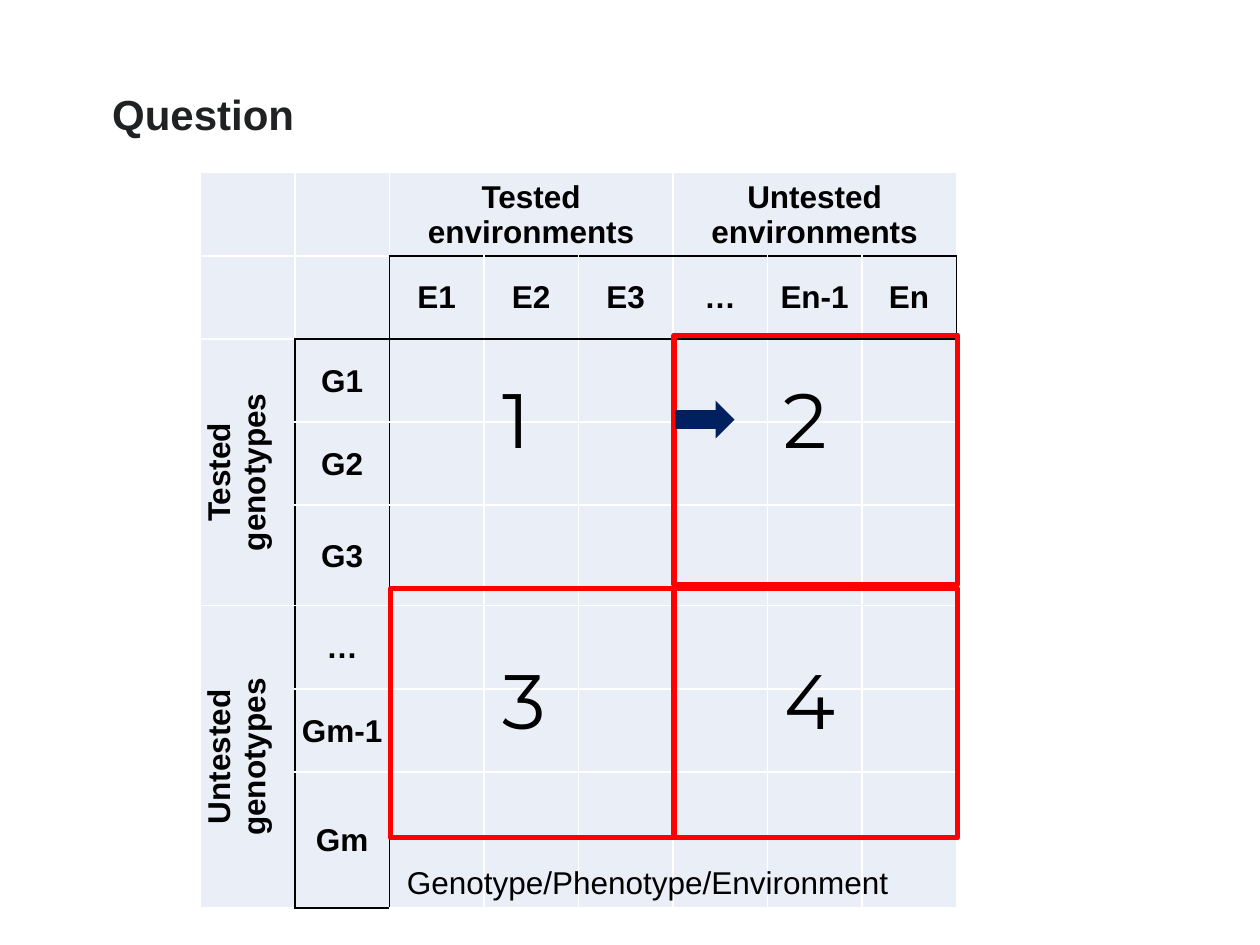
from lxml.etree import SubElement
from pptx import Presentation
from pptx.dml.color import RGBColor
from pptx.enum.shapes import MSO_SHAPE
from pptx.enum.text import MSO_ANCHOR, MSO_AUTO_SIZE, PP_ALIGN
from pptx.oxml.ns import qn
from pptx.util import Inches, Pt

BLACK = RGBColor(0x00, 0x00, 0x00)
WHITE = RGBColor(0xFF, 0xFF, 0xFF)
PALE_BLUE = RGBColor(0xEA, 0xEF, 0xF7)
NAVY = RGBColor(0x00, 0x20, 0x60)
RED = RGBColor(0xFF, 0x00, 0x00)
CHARCOAL = RGBColor(0x20, 0x21, 0x22)

TITLE = "Question"
CAPTION = "Genotype/Phenotype/Environment"
ENVIRONMENTS = ["E1", "E2", "E3", "…", "En-1", "En"]
GENOTYPES = ["G1", "G2", "G3", "…", "Gm-1", "Gm"]
ENVIRONMENT_GROUPS = ["Tested environments", "Untested environments"]
GENOTYPE_GROUPS = ["Tested genotypes", "Untested genotypes"]
GROUP_SIZE = 3
LABEL_START = 2
GRID_SIZE = LABEL_START + len(ENVIRONMENTS)

TABLE_BOX = (1.59, 1.37, 6, 5.28)
QUADRANT_SIZE = (2.25, 1.98)
QUADRANTS = [(3.1, 4.67), (5.35, 4.67), (5.35, 2.66)]
NUMBERS = [("1", 3.89, 2.9), ("2", 6.12, 2.9), ("3", 3.89, 5.13), ("4", 6.13, 5.13)]
SIDES = [("a:lnL", 0, -1), ("a:lnR", 0, 1), ("a:lnT", -1, 0), ("a:lnB", 1, 0)]


def is_label(row, column):
    inside = max(row, column) < GRID_SIZE
    return inside and min(row, column) == 1 and max(row, column) >= LABEL_START


def format_cell(cell, row, column):
    properties = cell._tc.get_or_add_tcPr()
    for tag, row_step, column_step in SIDES:
        outlined = is_label(row, column) != is_label(row + row_step, column + column_step)
        border = SubElement(properties, qn(tag), w=str(Pt(1)))
        fill = SubElement(border, qn("a:solidFill"))
        SubElement(fill, qn("a:srgbClr"), val=str(BLACK if outlined else WHITE))
    cell.fill.solid()
    cell.fill.fore_color.rgb = PALE_BLUE


def format_text(paragraph, size, font="Arial", color=BLACK, bold=False, align=PP_ALIGN.LEFT):
    paragraph.alignment = align
    paragraph.font.size = Pt(size)
    paragraph.font.name = font
    paragraph.font.color.rgb = color
    paragraph.font.bold = bold


def write_cell(cell, text):
    cell.text = text
    cell.vertical_anchor = MSO_ANCHOR.MIDDLE
    cell.margin_left = cell.margin_top = cell.margin_right = Inches(0.01)
    cell.margin_bottom = 0
    format_text(cell.text_frame.paragraphs[0], 18, bold=True, align=PP_ALIGN.CENTER)


def add_table(slide):
    shape = slide.shapes.add_table(GRID_SIZE, GRID_SIZE, *map(Inches, TABLE_BOX))
    table = shape.table
    table.first_row = table.horz_banding = False
    for row in range(GRID_SIZE):
        for column in range(GRID_SIZE):
            format_cell(table.cell(row, column), row, column)
    for index, (environment, genotype) in enumerate(zip(ENVIRONMENTS, GENOTYPES), LABEL_START):
        write_cell(table.cell(1, index), environment)
        write_cell(table.cell(index, 1), genotype)
    for index, (environments, genotypes) in enumerate(zip(ENVIRONMENT_GROUPS, GENOTYPE_GROUPS)):
        first = LABEL_START + index * GROUP_SIZE
        last = first + GROUP_SIZE - 1
        header = table.cell(0, first)
        header.merge(table.cell(0, last))
        write_cell(header, environments)
        side = table.cell(first, 0)
        side.merge(table.cell(last, 0))
        write_cell(side, genotypes)
        side._tc.get_or_add_tcPr().set("vert", "vert270")


def add_text(slide, text, box, size, **style):
    frame = slide.shapes.add_textbox(*map(Inches, box)).text_frame
    frame.word_wrap = True
    frame.auto_size = MSO_AUTO_SIZE.SHAPE_TO_FIT_TEXT
    frame.text = text
    format_text(frame.paragraphs[0], size, **style)


def add_title(slide):
    title = slide.shapes.title
    title.left, title.top, title.width, title.height = map(Inches, (0.79, 0.65, 2.12, 0.5))
    title.text = TITLE
    format_text(title.text_frame.paragraphs[0], 24, color=CHARCOAL, bold=True)


def add_quadrant(slide, left, top):
    quadrant = slide.shapes.add_shape(
        MSO_SHAPE.RECTANGLE, *map(Inches, (left, top, *QUADRANT_SIZE)))
    quadrant.shadow.inherit = False
    quadrant.fill.background()
    quadrant.line.color.rgb = RED
    quadrant.line.width = Pt(3)


def add_arrow(slide):
    arrow = slide.shapes.add_shape(
        MSO_SHAPE.RIGHT_ARROW, *map(Inches, (5.36, 3.18, 0.47, 0.3)))
    arrow.shadow.inherit = False
    arrow.fill.solid()
    arrow.fill.fore_color.rgb = NAVY
    arrow.line.fill.background()


def main():
    presentation = Presentation()
    presentation.slide_width = Inches(10)
    presentation.slide_height = Inches(7.5)
    slide = presentation.slides.add_slide(presentation.slide_layouts[5])
    add_title(slide)
    add_table(slide)
    add_text(slide, CAPTION, (3.13, 6.8, 4.02, 0.4), 18, align=PP_ALIGN.CENTER)
    for left, top in QUADRANTS:
        add_quadrant(slide, left, top)
    add_arrow(slide)
    for number, left, top in NUMBERS:
        add_text(slide, number, (left, top, 0.72, 0.84), 44, font="Montserrat")
    presentation.save("out.pptx")


if __name__ == "__main__":
    main()
